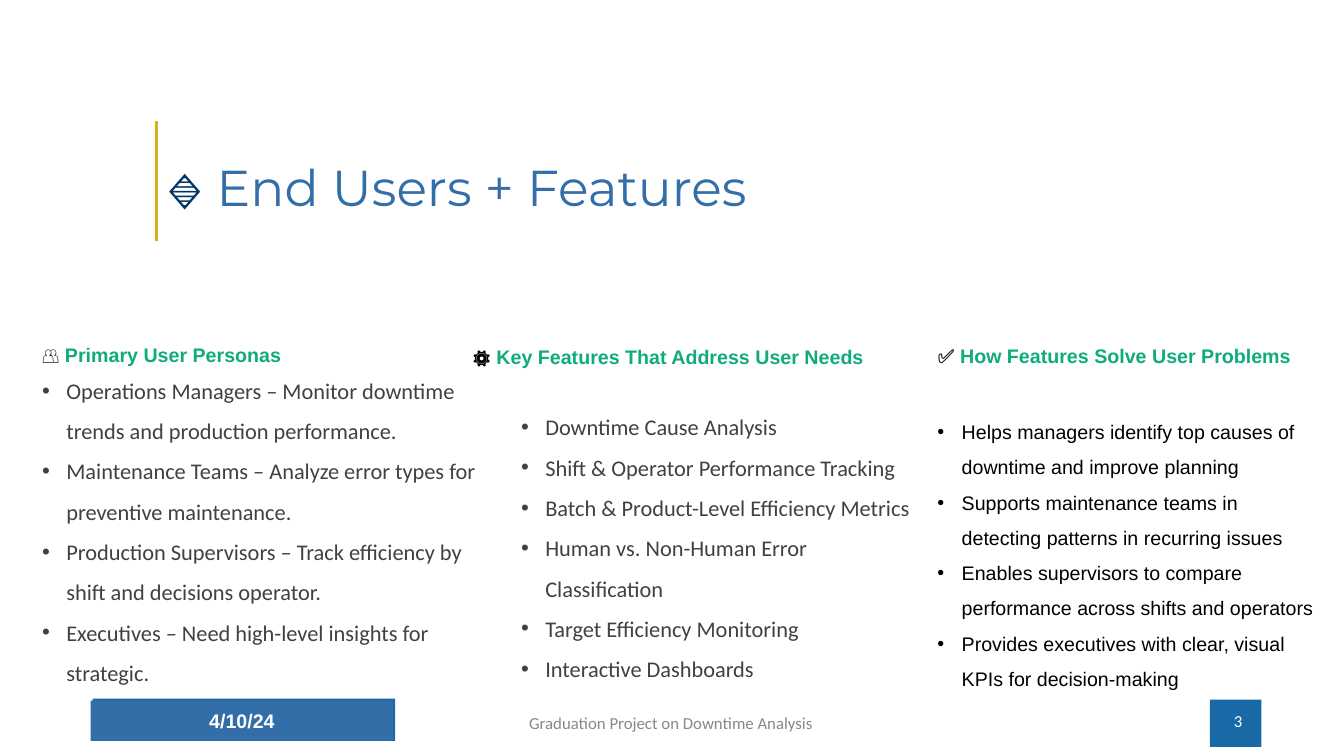
"""Build the End Users + Features slide."""
from lxml import etree
from pptx import Presentation
from pptx import util as u
from pptx.dml.color import RGBColor
from pptx.enum import shapes, text
from pptx.oxml import ns

BLUE = RGBColor(0x33, 0x6E, 0xA8)
DEEP_BLUE = RGBColor(0x18, 0x69, 0xA6)
NAVY = RGBColor(0x00, 0x35, 0x66)
GOLD = RGBColor(0xD7, 0xB1, 0x19)
GREEN = RGBColor(0x0F, 0xAB, 0x7D)
CHARCOAL = RGBColor(0x41, 0x40, 0x42)
GRAY = RGBColor(0x88, 0x88, 0x88)
BLACK = RGBColor(0, 0, 0)
WHITE = RGBColor(0xFF, 0xFF, 0xFF)
MIDDLE = text.MSO_ANCHOR.MIDDLE
CENTER = text.PP_ALIGN.CENTER

presentation = Presentation()
presentation.slide_width = u.Inches(13.33)
presentation.slide_height = u.Inches(7.5)
slide = presentation.slides.add_slide(presentation.slide_layouts[6])


def add_text(box, paragraphs, size, font="Arial", bold=False, align=text.PP_ALIGN.LEFT,
             anchor=text.MSO_ANCHOR.TOP, spacing=1.0, bullet=False):
    """Add a text box; each paragraph is a list of (wording, color) runs."""
    frame = slide.shapes.add_textbox(*map(u.Inches, box)).text_frame
    frame.word_wrap = True
    frame.vertical_anchor = anchor
    for index, runs in enumerate(paragraphs):
        paragraph = frame.add_paragraph() if index else frame.paragraphs[0]
        paragraph.alignment = align
        paragraph.line_spacing = spacing
        if bullet:
            properties = paragraph._p.get_or_add_pPr()
            properties.set("marL", str(u.Inches(0.24)))
            properties.set("indent", str(u.Inches(-0.24)))
            etree.SubElement(properties, ns.qn("a:buFont")).set("typeface", "Arial")
            etree.SubElement(properties, ns.qn("a:buChar")).set("char", "•")
        for position, (wording, color) in enumerate(runs):
            run = paragraph.add_run()
            run.text = wording
            run.font.name = font
            run.font.size = u.Pt(size)
            run.font.bold = bold and position == len(runs) - 1
            run.font.color.rgb = color


for box, color in [((0.92, 6.93, 3, 0.42), DEEP_BLUE), ((0.9, 6.95, 3, 0.4), BLUE),
                   ((12, 6.94, 0.51, 0.47), DEEP_BLUE)]:
    panel = slide.shapes.add_shape(shapes.MSO_SHAPE.RECTANGLE, *map(u.Inches, box))
    panel.shadow.inherit = False
    panel.fill.solid()
    panel.fill.fore_color.rgb = color
    panel.line.fill.background()

title_bar = slide.shapes.add_connector(
    shapes.MSO_CONNECTOR.STRAIGHT, u.Inches(1.55), u.Inches(1.2), u.Inches(1.55), u.Inches(2.39))
title_bar.line.color.rgb = GOLD
title_bar.line.width = u.Pt(2.5)
etree.SubElement(title_bar._element.spPr, ns.qn("a:effectLst"))

add_text((1.55, 1.39, 7.04, 0.82), [[("🔹 ", NAVY), ("End Users + Features", BLUE)]], 36,
         font="Montserrat", anchor=text.MSO_ANCHOR.BOTTOM, spacing=0.9)

columns = [
    ((0.32, 3.35, 3.09, 0.34), "👥 ", "Primary User Personas",
     (0.32, 3.56, 4.67, 3.29), 16, "Calibri", CHARCOAL, MIDDLE,
     ["Operations Managers – Monitor downtime trends and production performance.",
      "Maintenance Teams – Analyze error types for preventive maintenance.",
      "Production Supervisors – Track efficiency by shift and decisions operator.",
      "Executives – Need high-level insights for strategic."]),
    ((4.59, 3.37, 4.27, 0.34), "⚙️ ", "Key Features That Address User Needs",
     (5.07, 3.92, 4.13, 2.48), 16, "Calibri", CHARCOAL, text.MSO_ANCHOR.TOP,
     ["Downtime Cause Analysis",
      "Shift & Operator Performance Tracking",
      "Batch & Product-Level Efficiency Metrics",
      "Human vs. Non-Human Error Classification",
      "Target Efficiency Monitoring",
      "Interactive Dashboards"]),
    ((9.2, 3.36, 4.38, 0.34), "✅ ", "How Features Solve User Problems",
     (9.2, 4, 3.97, 2.88), 14, "Arial", BLACK, text.MSO_ANCHOR.TOP,
     ["Helps managers identify top causes of downtime and improve planning",
      "Supports maintenance teams in detecting patterns in recurring issues",
      "Enables supervisors to compare performance across shifts and operators",
      "Provides executives with clear, visual KPIs for decision-making"]),
]
for heading_box, icon, heading, list_box, size, font, color, anchor, items in columns:
    add_text(heading_box, [[(icon, BLACK), (heading, GREEN)]], 14, bold=True)
    add_text(list_box, [[(item, color)] for item in items], size, font=font,
             anchor=anchor, spacing=1.5, bullet=True)

add_text((0.9, 6.95, 3, 0.4), [[("4/10/24", WHITE)]], 14, bold=True, align=CENTER, anchor=MIDDLE)
add_text((4.32, 6.97, 4.67, 0.4), [[("Graduation Project on Downtime Analysis", GRAY)]], 12,
         font="Calibri", align=CENTER, anchor=MIDDLE)
add_text((9.42, 6.95, 3, 0.4), [[("3", WHITE)]], 12, font="Calibri",
         align=text.PP_ALIGN.RIGHT, anchor=MIDDLE)

presentation.save("out.pptx")
